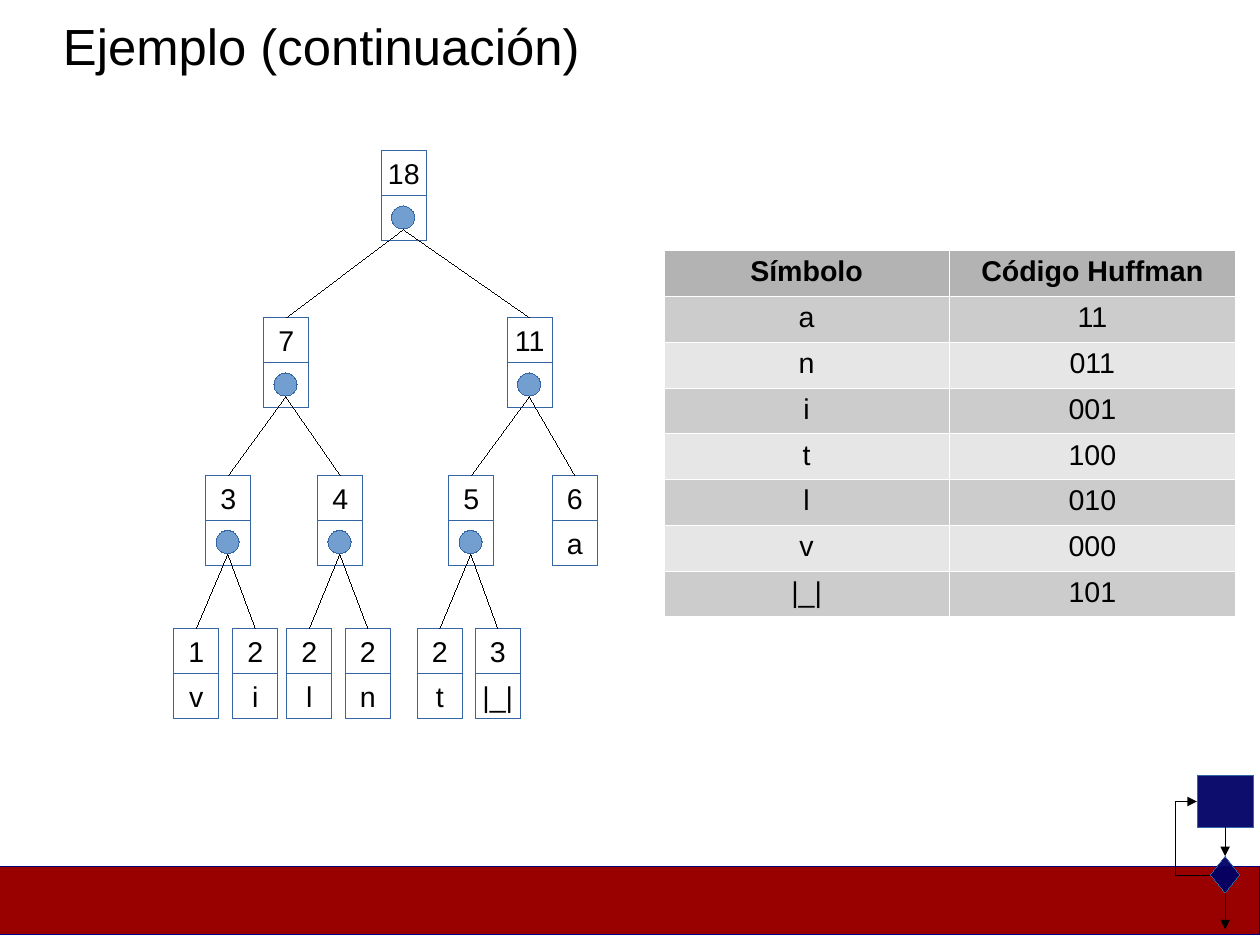
from dataclasses import dataclass

from lxml import etree
from pptx import Presentation
from pptx.dml.color import RGBColor
from pptx.enum.shapes import MSO_CONNECTOR, MSO_SHAPE
from pptx.enum.text import MSO_ANCHOR, PP_ALIGN
from pptx.oxml.ns import qn
from pptx.util import Pt

RECT, OVAL = MSO_SHAPE.RECTANGLE, MSO_SHAPE.OVAL
BLOCK, TEST = MSO_SHAPE.FLOWCHART_PROCESS, MSO_SHAPE.FLOWCHART_DECISION
LINE, ELBOW = MSO_CONNECTOR.STRAIGHT, MSO_CONNECTOR.ELBOW
MIDDLE, TOP = MSO_ANCHOR.MIDDLE, MSO_ANCHOR.TOP
CENTER, JUSTIFY = PP_ALIGN.CENTER, PP_ALIGN.JUSTIFY
PX = 4500
CELL = 80


@dataclass(frozen=True)
class Theme:
    font: str = "Arial"
    title: int = 32
    body: int = 18
    ink: str = "000000"
    paper: str = "FFFFFF"
    edge: str = "3465A4"
    dot: str = "729FCF"
    band: str = "990000"
    rim: str = "000080"
    navy: str = "000066"
    head: str = "B3B3B3"
    odd: str = "CCCCCC"
    even: str = "E6E6E6"


THEME = Theme()

TREE = (678, "18", [
    (469, "7", [
        (366, "3", [(309, "1", "v"), (414, "2", "i")]),
        (565, "4", [(510, "2", "l"), (614, "2", "n")]),
    ]),
    (902, "11", [
        (798, "5", [(742, "2", "t"), (845, "3", "|_|")]),
        (982, "6", "a"),
    ]),
])
LEVELS = (268, 565, 845, 1117)

CODES = [("Símbolo", "Código Huffman"), ("a", "11"), ("n", "011"),
         ("i", "001"), ("t", "100"), ("l", "010"), ("v", "000"),
         ("|_|", "101")]


def px(*sizes):
    return [size * PX for size in sizes]


def apply(thing, style):
    for key, value in style.items():
        setattr(thing, key, value)


def paint(fill, tone):
    fill.solid()
    fill.fore_color.rgb = RGBColor.from_string(tone)


def stroke(item, tone):
    paint(item.line.fill, tone)
    edge = item._element.spPr.find(qn("a:ln"))
    edge.set("w", "0")
    return edge


def write(frame, text, size=THEME.body, align=CENTER, bold=False):
    part = frame.paragraphs[0]
    part.text = text
    part.alignment = align
    apply(part.font, {"name": THEME.font, "size": Pt(size), "bold": bold})
    part.font.color.rgb = RGBColor.from_string(THEME.ink)


def add_form(slide, kind, box, fill, edge=THEME.edge, text=""):
    form = slide.shapes.add_shape(kind, *px(*box))
    form.shadow.inherit = False
    paint(form.fill, fill)
    stroke(form, edge)
    if text:
        left, top = px(20, 10)
        apply(form.text_frame, {
            "word_wrap": False, "vertical_anchor": MIDDLE,
            "margin_left": left, "margin_right": left,
            "margin_top": top, "margin_bottom": top})
        write(form.text_frame, text)
    return form


def add_line(slide, start, end, kind=LINE, arrow=False):
    link = slide.shapes.add_connector(kind, *px(*start, *end))
    edge = stroke(link, THEME.ink)
    if arrow:
        etree.SubElement(edge, qn("a:tailEnd"), type="triangle")
    etree.SubElement(link._element.spPr, qn("a:effectLst"))
    return link


def add_title(slide, box):
    label = slide.shapes.add_textbox(*px(*box))
    apply(label.text_frame, {
        "word_wrap": True, "vertical_anchor": TOP,
        "margin_left": 0, "margin_right": 0,
        "margin_top": 0, "margin_bottom": 0})
    write(label.text_frame, "Ejemplo (continuación)", THEME.title, JUSTIFY)


def add_flow(slide, left, top):
    mid = left + 91
    for kind, box in ((TEST, (left + 65, top + 144, 52, 65)),
                      (BLOCK, (left + 41, top, 101, 93))):
        form = add_form(slide, kind, box, THEME.navy)
        tone = form._element.spPr.find(".//" + qn("a:srgbClr"))
        etree.SubElement(tone, qn("a:alpha"), val="95000")
    add_line(slide, (mid, top + 93), (mid, top + 144), arrow=True)
    add_line(slide, (mid, top + 209), (mid, top + 274), arrow=True)
    loop = add_line(slide, (left + 65, top + 177), (left + 41, top + 47),
                    ELBOW, True)
    shape = loop._element.spPr.find(qn("a:prstGeom"))
    guides = shape.find(qn("a:avLst"))
    if guides is None:
        guides = etree.SubElement(shape, qn("a:avLst"))
    etree.SubElement(guides, qn("a:gd"), name="adj1", fmla="val 263700")


def add_node(slide, node, depth=0):
    left, weight, rest = node
    top = LEVELS[depth]
    leaf = isinstance(rest, str)
    for row, text in enumerate((weight, rest if leaf else "")):
        add_form(slide, RECT, (left, top + row * CELL, CELL, CELL),
                 THEME.paper, text=text)
    if leaf:
        return
    add_form(slide, OVAL, (left + 18, top + 98, 41, 41), THEME.dot)
    for child in rest:
        add_node(slide, child, depth + 1)
        add_line(slide, (child[0] + CELL // 2, LEVELS[depth + 1]),
                 (left + 39, top + 140))


def add_codes(slide, box):
    frame = slide.shapes.add_table(len(CODES), 2, *px(*box))
    table = frame.table
    table.horz_banding = False
    for column in table.columns:
        column.width = box[2] * PX // 2
    for r, values in enumerate(CODES):
        table.rows[r].height = box[3] * PX // len(CODES)
        tone = THEME.odd if r % 2 else THEME.even
        for c, text in enumerate(values):
            cell = table.cell(r, c)
            write(cell.text_frame, text, bold=r == 0)
            paint(cell.fill, tone if r else THEME.head)
            props = cell._tc.get_or_add_tcPr()
            for at, side in enumerate(("lnL", "lnR", "lnT", "lnB")):
                edge = etree.Element(qn("a:" + side), w="762")
                ink = etree.SubElement(edge, qn("a:solidFill"))
                etree.SubElement(ink, qn("a:srgbClr"), val=THEME.paper)
                props.insert(at, edge)


def main():
    deck = Presentation()
    deck.slide_width, deck.slide_height = px(2240, 1680)
    slide = deck.slides.add_slide(deck.slide_layouts[6])
    add_form(slide, RECT, (0, 1540, 2240, 122), THEME.band, THEME.rim)
    add_flow(slide, 2087, 1378)
    add_title(slide, (112, 27, 2016, 104))
    add_node(slide, TREE)
    add_codes(slide, (1180, 445, 1016, 608))
    deck.save("out.pptx")


if __name__ == "__main__":
    main()
